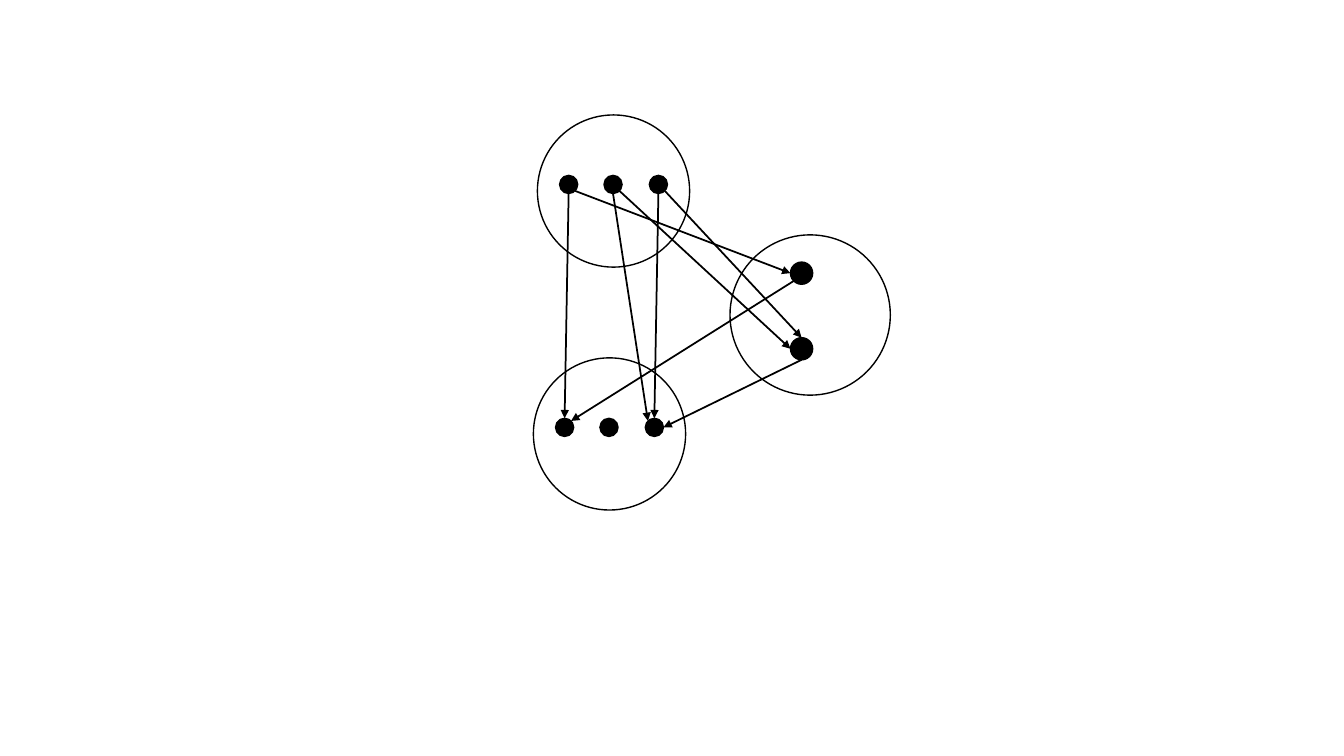
from dataclasses import dataclass
from enum import Enum

from lxml import etree
from pptx import Presentation
from pptx import util as u
from pptx.dml.color import RGBColor
from pptx.enum import shapes
from pptx.oxml import ns


@dataclass(frozen=True)
class Theme:
    ink: RGBColor = RGBColor(0, 0, 0)
    paper: RGBColor = RGBColor(255, 255, 255)
    outline: float = 1
    arrow: float = 1.25


DIAGONAL = 0.71


class Site(Enum):
    TOP = (0, -1)
    TOP_LEFT = (-DIAGONAL, -DIAGONAL)
    TOP_RIGHT = (DIAGONAL, -DIAGONAL)
    LEFT = (-1, 0)
    RIGHT = (1, 0)
    BOTTOM = (0, 1)
    BOTTOM_LEFT = (-DIAGONAL, DIAGONAL)
    BOTTOM_RIGHT = (DIAGONAL, DIAGONAL)


@dataclass(frozen=True)
class Circle:
    left: float
    top: float
    size: float

    def at(self, site: Site) -> tuple[float, float]:
        r = self.size / 2
        dx, dy = site.value
        return self.left + r * (1 + dx), self.top + r * (1 + dy)


@dataclass(frozen=True)
class Cluster:
    ring: Circle
    dot_size: float
    offsets: tuple[tuple[float, float], ...]
    fill: RGBColor | None = None

    @property
    def dots(self) -> list[Circle]:
        return [Circle(self.ring.left + x, self.ring.top + y, self.dot_size)
                for x, y in self.offsets]


@dataclass(frozen=True)
class Arrow:
    source: Circle
    leave: Site
    target: Circle
    enter: Site


THEME = Theme()
ROW = ((0.22, 0.6), (0.66, 0.6), (1.11, 0.6))
COLUMN = ((0.6, 0.27), (0.6, 1.02))

RIGHT = Cluster(Circle(7.24, 2.33, 1.59), 0.22, COLUMN, THEME.paper)
UPPER = Cluster(Circle(5.33, 1.14, 1.51), 0.18, ROW)
LOWER = Cluster(Circle(5.29, 3.55, 1.51), 0.18, ROW)

ARROWS = [
    Arrow(UPPER.dots[0], Site.BOTTOM_RIGHT, RIGHT.dots[0], Site.LEFT),
    Arrow(UPPER.dots[1], Site.BOTTOM_RIGHT, RIGHT.dots[1], Site.LEFT),
    Arrow(UPPER.dots[2], Site.BOTTOM, LOWER.dots[2], Site.TOP),
    Arrow(UPPER.dots[2], Site.BOTTOM_RIGHT, RIGHT.dots[1], Site.TOP),
    Arrow(RIGHT.dots[0], Site.BOTTOM_LEFT, LOWER.dots[0], Site.TOP_RIGHT),
    Arrow(RIGHT.dots[1], Site.BOTTOM, LOWER.dots[2], Site.RIGHT),
    Arrow(UPPER.dots[1], Site.BOTTOM, LOWER.dots[2], Site.TOP_LEFT),
    Arrow(UPPER.dots[0], Site.BOTTOM, LOWER.dots[0], Site.TOP),
]


def draw_circle(group, circle: Circle, fill: RGBColor | None) -> None:
    sp = group.shapes.add_shape(
        shapes.MSO_SHAPE.OVAL, u.Inches(circle.left), u.Inches(circle.top),
        u.Inches(circle.size), u.Inches(circle.size))
    sp.shadow.inherit = False
    if fill is None:
        sp.fill.background()
    else:
        sp.fill.solid()
        sp.fill.fore_color.rgb = fill
    sp.line.color.rgb = THEME.ink
    sp.line.width = u.Pt(THEME.outline)


def draw_cluster(s, cluster: Cluster) -> None:
    group = s.shapes.add_group_shape()
    draw_circle(group, cluster.ring, cluster.fill)
    for dot in cluster.dots:
        draw_circle(group, dot, THEME.ink)


def draw_arrow(s, arrow: Arrow) -> None:
    ends = arrow.source.at(arrow.leave) + arrow.target.at(arrow.enter)
    cxn = s.shapes.add_connector(
        shapes.MSO_CONNECTOR.STRAIGHT, *(u.Inches(v) for v in ends))
    cxn.line.color.rgb = THEME.ink
    cxn.line.width = u.Pt(THEME.arrow)
    ln = cxn.line._get_or_add_ln()
    etree.SubElement(ln, ns.qn("a:tailEnd"), type="triangle")
    etree.SubElement(ln.getparent(), ns.qn("a:effectLst"))


def main() -> None:
    prs = Presentation()
    prs.slide_width, prs.slide_height = u.Inches(13.33), u.Inches(7.5)
    s = prs.slides.add_slide(prs.slide_layouts[6])
    for cluster in (RIGHT, UPPER, LOWER):
        draw_cluster(s, cluster)
    for arrow in ARROWS:
        draw_arrow(s, arrow)
    prs.save("out.pptx")


if __name__ == "__main__":
    main()
